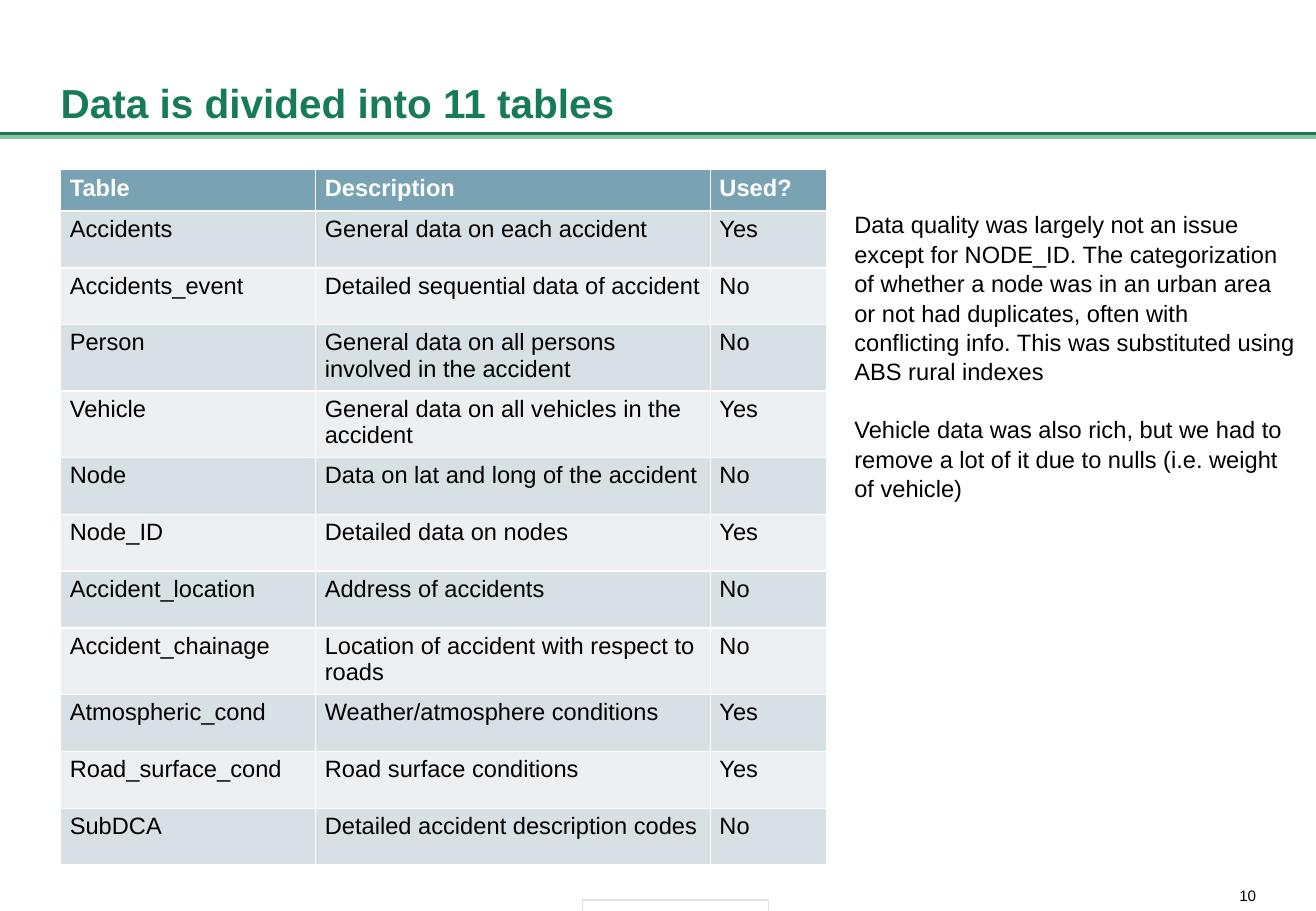
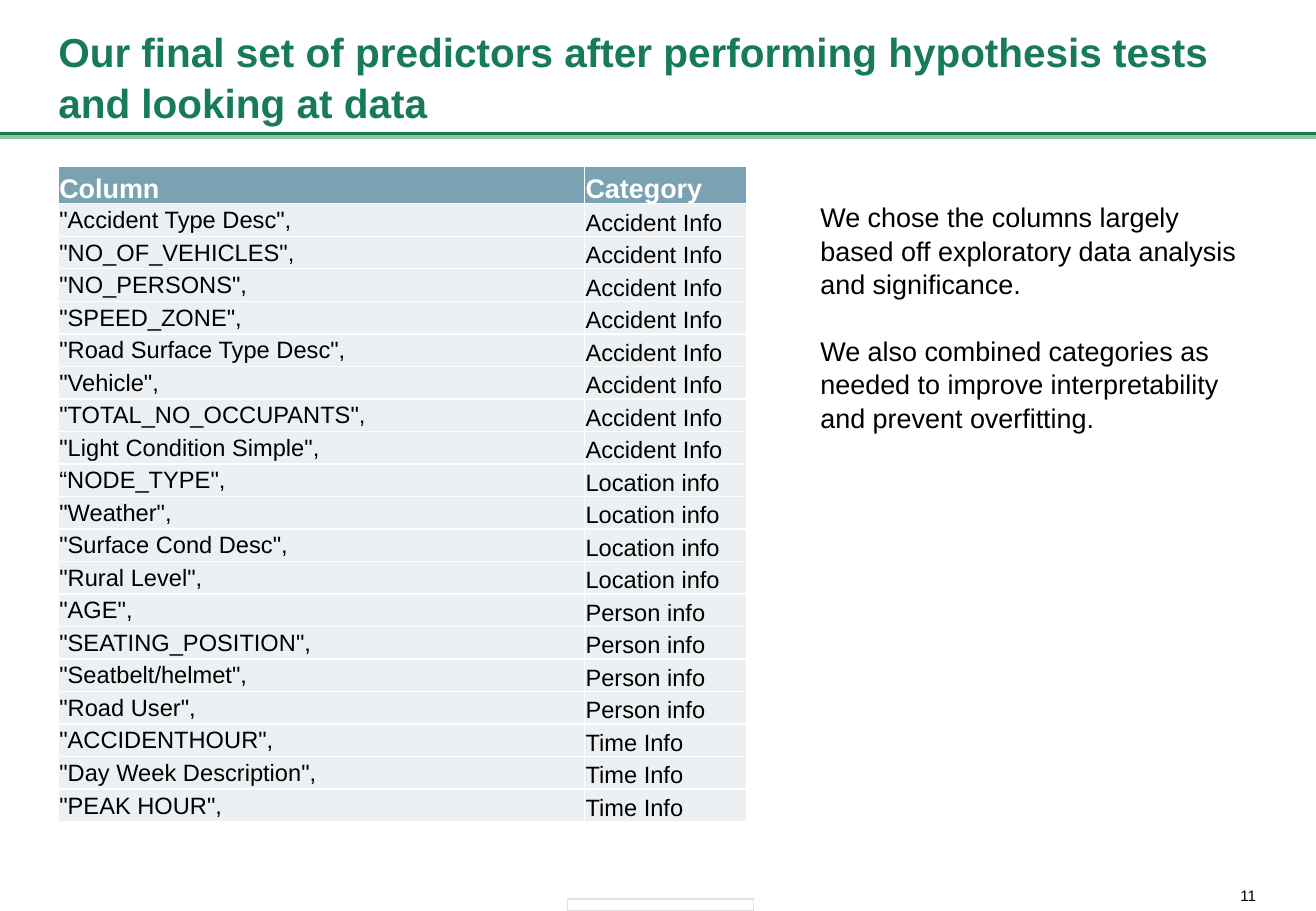
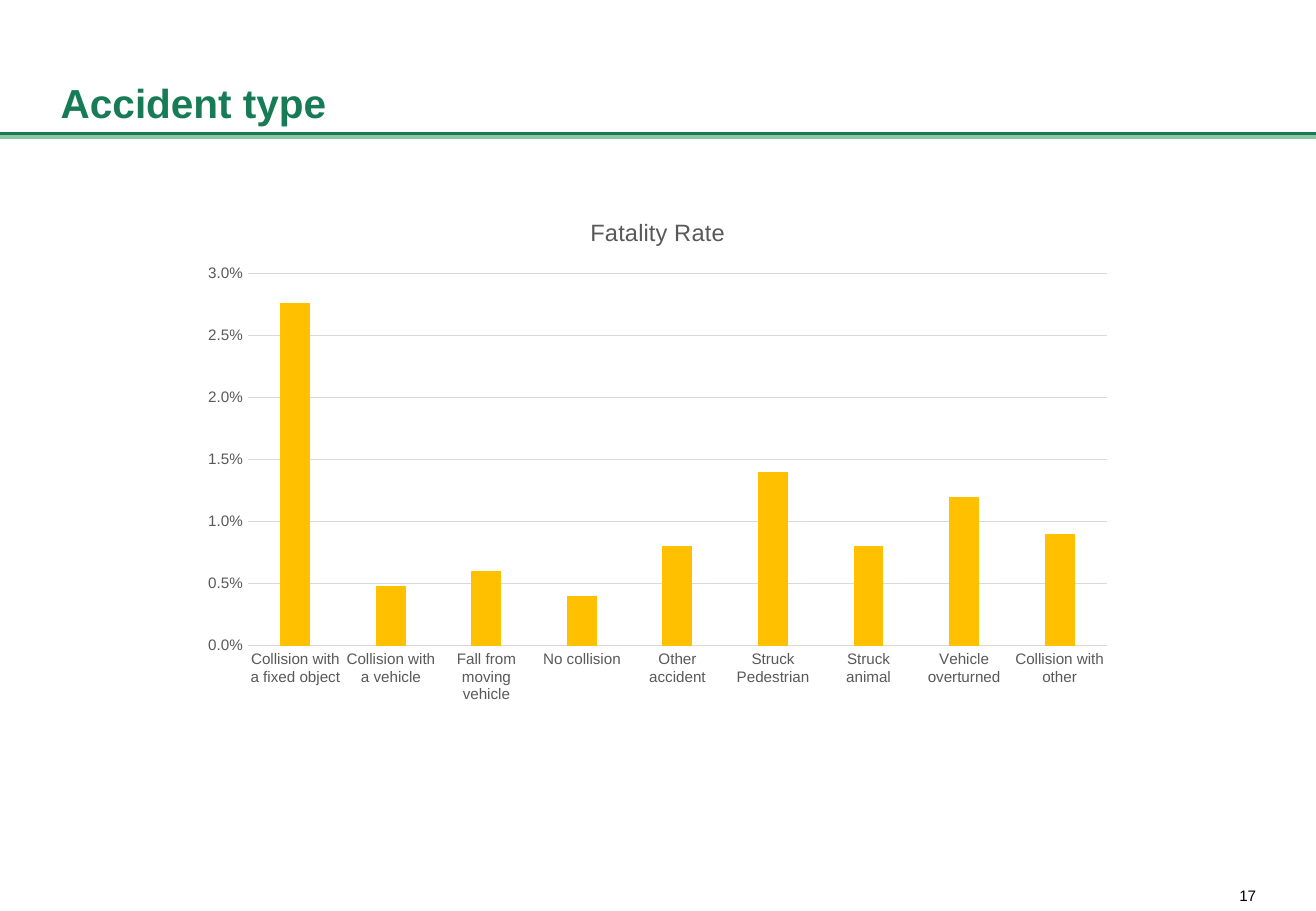
"""Build three slides on road accident data: two tables and a fatality chart."""
import pptx
import pptx.chart.data
import pptx.dml.color
import pptx.enum.chart
import pptx.enum.shapes
import pptx.enum.text
import pptx.oxml
import pptx.util

Cm = pptx.util.Cm
Pt = pptx.util.Pt
RGB = pptx.dml.color.RGBColor
ANCHOR = pptx.enum.text.MSO_ANCHOR
ALIGN = pptx.enum.text.PP_ALIGN

GREEN = RGB(0x17, 0x7B, 0x57)
MINT = RGB(0x8E, 0xC6, 0xA1)
BLACK = RGB(0, 0, 0)
WHITE = RGB(0xFF, 0xFF, 0xFF)
TEAL = RGB(0x79, 0xA2, 0xB3)
MID = RGB(0xD7, 0xE0, 0xE5)
PALE = RGB(0xEC, 0xF0, 0xF2)
EDGE = RGB(0xE2, 0xE2, 0xE2)
GOLD = RGB(0xFF, 0xC0, 0x00)
GREY = RGB(0x59, 0x59, 0x59)
GRID = RGB(0xD9, 0xD9, 0xD9)
FONT = "Arial"
WIDE = Cm(27.51)


def write(frame, text, size=14, color=BLACK, bold=False, align=ALIGN.LEFT,
          lead=None, gap=0, inset=(0, 0.13), anchor=ANCHOR.TOP, wrap=True):
    """Fill a text frame, one paragraph for each line of text."""
    frame.word_wrap = wrap
    frame.vertical_anchor = anchor
    frame.margin_left = frame.margin_right = Cm(inset[0])
    frame.margin_top = frame.margin_bottom = Cm(inset[1])
    lines = text.split("\n")
    for i, line in enumerate(lines):
        para = frame.paragraphs[0] if i == 0 else frame.add_paragraph()
        para.alignment = align
        para.line_spacing = lead
        para.space_after = Pt(gap if i < len(lines) - 1 else 0)
        run = para.add_run()
        run.text = line
        run.font.name = FONT
        run.font.size = Pt(size)
        run.font.bold = bold
        run.font.color.rgb = color


def grid(slide, rows, left, top, cols, heights, fills, size, inset, anchors):
    """Add a table with a header row and body fills taken in turn."""
    head, body = heights
    high = head + body * (len(rows) - 1)
    table = slide.shapes.add_table(len(rows), len(cols), Cm(left), Cm(top),
                                   Cm(sum(cols)), Cm(high)).table
    for col, width in zip(table.columns, cols):
        col.width = Cm(width)
    for r, row in enumerate(rows):
        table.rows[r].height = Cm(body if r else head)
        for c, text in enumerate(row):
            cell = table.cell(r, c)
            cell.fill.solid()
            cell.fill.fore_color.rgb = fills[r % len(fills)] if r else TEAL
            write(cell.text_frame, text, size=14 if r else size,
                  color=BLACK if r else WHITE, bold=r == 0)
            cell.margin_left = cell.margin_right = Cm(inset[0])
            cell.margin_top, cell.margin_bottom = Cm(inset[1]), Cm(inset[2])
            cell.vertical_anchor = anchors[c] if r else anchors[-1]


deck = pptx.Presentation()
deck.slide_width = WIDE
deck.slide_height = Cm(19.05)

heads = [
    ("Data is divided into 11 tables", 1.27, "10"),
    ("Our final set of predictors after performing hypothesis tests and looking at data",
     1.22, "11"),
    ("Accident type", 1.27, "17"),
]
slides = []
for title, left, page in heads:
    slide = deck.slides.add_slide(deck.slide_layouts[6])
    slides.append(slide)
    for y, color in ((2.86, MINT), (2.79, GREEN)):
        rule = slide.shapes.add_connector(
            pptx.enum.shapes.MSO_CONNECTOR.STRAIGHT, 0, Cm(y), WIDE, Cm(y))
        rule.line.color.rgb = color
        rule.line.width = Pt(2.25)
        rule._element.spPr.append(pptx.oxml.parse_xml(
            '<a:effectLst xmlns:a="http://schemas.openxmlformats.org/drawingml/2006/main"/>'))
    box = slide.shapes.add_textbox(Cm(left), Cm(0.46), Cm(24.97), Cm(2.31))
    write(box.text_frame, title, size=24, color=GREEN, bold=True, lead=1.04,
          anchor=ANCHOR.BOTTOM)
    box = slide.shapes.add_textbox(Cm(25.73), Cm(18.54), Cm(0.53), Cm(0.36))
    write(box.text_frame, page, size=9, align=ALIGN.RIGHT, inset=(0, 0), wrap=False)

for slide, left, top in zip(slides, (12.17, 11.86), (18.82, 18.8)):
    tab = slide.shapes.add_shape(pptx.enum.shapes.MSO_SHAPE.RECTANGLE,
                                 Cm(left), Cm(top), Cm(3.89), Cm(0.25))
    tab.shadow.inherit = False
    tab.fill.solid()
    tab.fill.fore_color.rgb = WHITE
    tab.line.color.rgb = EDGE
    tab.line.width = Pt(0.75)

files = [
    ("Table", "Description", "Used?"),
    ("Accidents", "General data on each accident", "Yes"),
    ("Accidents_event", "Detailed sequential data of accident", "No"),
    ("Person", "General data on all persons involved in the accident", "No"),
    ("Vehicle", "General data on all vehicles in the accident", "Yes"),
    ("Node", "Data on lat and long of the accident", "No"),
    ("Node_ID", "Detailed data on nodes", "Yes"),
    ("Accident_location", "Address of accidents", "No"),
    ("Accident_chainage", "Location of accident with respect to roads", "No"),
    ("Atmospheric_cond", "Weather/atmosphere conditions", "Yes"),
    ("Road_surface_cond", "Road surface conditions", "Yes"),
    ("SubDCA", "Detailed accident description codes", "No"),
]
grid(slides[0], files, 1.27, 3.55, (5.33, 8.25, 2.44), (0.86, 1.19), (PALE, MID),
     14, (0.19, 0.1, 0.1), [ANCHOR.TOP] * 3)

groups = {
    "Accident Info": ['"Accident Type Desc",', '"NO_OF_VEHICLES",', '"NO_PERSONS",',
                      '"SPEED_ZONE",', '"Road Surface Type Desc",', '"Vehicle",',
                      '"TOTAL_NO_OCCUPANTS",', '"Light Condition Simple",'],
    "Location info": ['“NODE_TYPE",', '"Weather",', '"Surface Cond Desc",',
                      '"Rural Level",'],
    "Person info": ['"AGE",', '"SEATING_POSITION",', '"Seatbelt/helmet",',
                    '"Road User",'],
    "Time Info": ['"ACCIDENTHOUR",', '"Day Week Description",', '"PEAK HOUR",'],
}
picks = [("Column", "Category")]
picks += [(name, group) for group, names in groups.items() for name in names]
grid(slides[1], picks, 1.22, 3.48, (11, 3.39), (0.78, 0.68), (PALE,),
     16, (0.02, 0.02, 0), (ANCHOR.MIDDLE, ANCHOR.BOTTOM))

notes = [
    ("Data quality was largely not an issue except for NODE_ID. The categorization of "
     "whether a node was in an urban area or not had duplicates, often with conflicting "
     "info. This was substituted using ABS rural indexes\n"
     "Vehicle data was also rich, but we had to remove a lot of it due to nulls "
     "(i.e. weight of vehicle)", 14, 17.86, 4.24, 9.25, 6.73),
    ("We chose the columns largely based off exploratory data analysis and significance.\n"
     "We also combined categories as needed to improve interpretability and prevent "
     "overfitting.", 16, 17.15, 4.04, 8.76, 5.33),
]
for slide, (text, size, *place) in zip(slides, notes):
    box = slide.shapes.add_textbox(*map(Cm, place))
    write(box.text_frame, text, size=size, lead=1.04, gap=size * 1.2)

rates = {
    "Collision with a fixed object": 0.0276,
    "Collision with a vehicle": 0.0048,
    "Fall from moving vehicle": 0.006,
    "No collision": 0.004,
    "Other accident": 0.008,
    "Struck Pedestrian": 0.014,
    "Struck animal": 0.008,
    "Vehicle overturned": 0.012,
    "Collision with other": 0.009,
}
data = pptx.chart.data.CategoryChartData(number_format="0.0%")
data.categories = list(rates)
data.add_series("Fatality Rate", list(rates.values()))
chart = slides[2].shapes.add_chart(
    pptx.enum.chart.XL_CHART_TYPE.COLUMN_CLUSTERED,
    Cm(3.96), Cm(4.11), Cm(19.58), Cm(10.82), data).chart
chart.font.name = FONT
chart.font.size = Pt(10)
chart.has_legend = False
chart.has_title = True
write(chart.chart_title.text_frame, "Fatality Rate", color=GREY, align=ALIGN.CENTER)
chart.chart_title.include_in_layout = False
plot = chart.plots[0]
plot.gap_width = 219
plot.overlap = -27
plot.vary_by_categories = False
bars = plot.series[0].format.fill
bars.solid()
bars.fore_color.rgb = GOLD
for axis in (chart.category_axis, chart.value_axis):
    axis.major_tick_mark = axis.minor_tick_mark = pptx.enum.chart.XL_TICK_MARK.NONE
    axis.tick_labels.font.name = FONT
    axis.tick_labels.font.size = Pt(9)
    axis.tick_labels.font.color.rgb = GREY
chart.value_axis.minimum_scale = 0
chart.value_axis.maximum_scale = 0.03
chart.value_axis.major_unit = 0.005
chart.value_axis.tick_labels.number_format = "0.0%"
chart.value_axis.tick_labels.number_format_is_linked = False
chart.value_axis.format.line.fill.background()
for line in (chart.category_axis.format.line, chart.value_axis.major_gridlines.format.line):
    line.color.rgb = GRID
    line.width = Pt(0.75)

deck.save("out.pptx")
